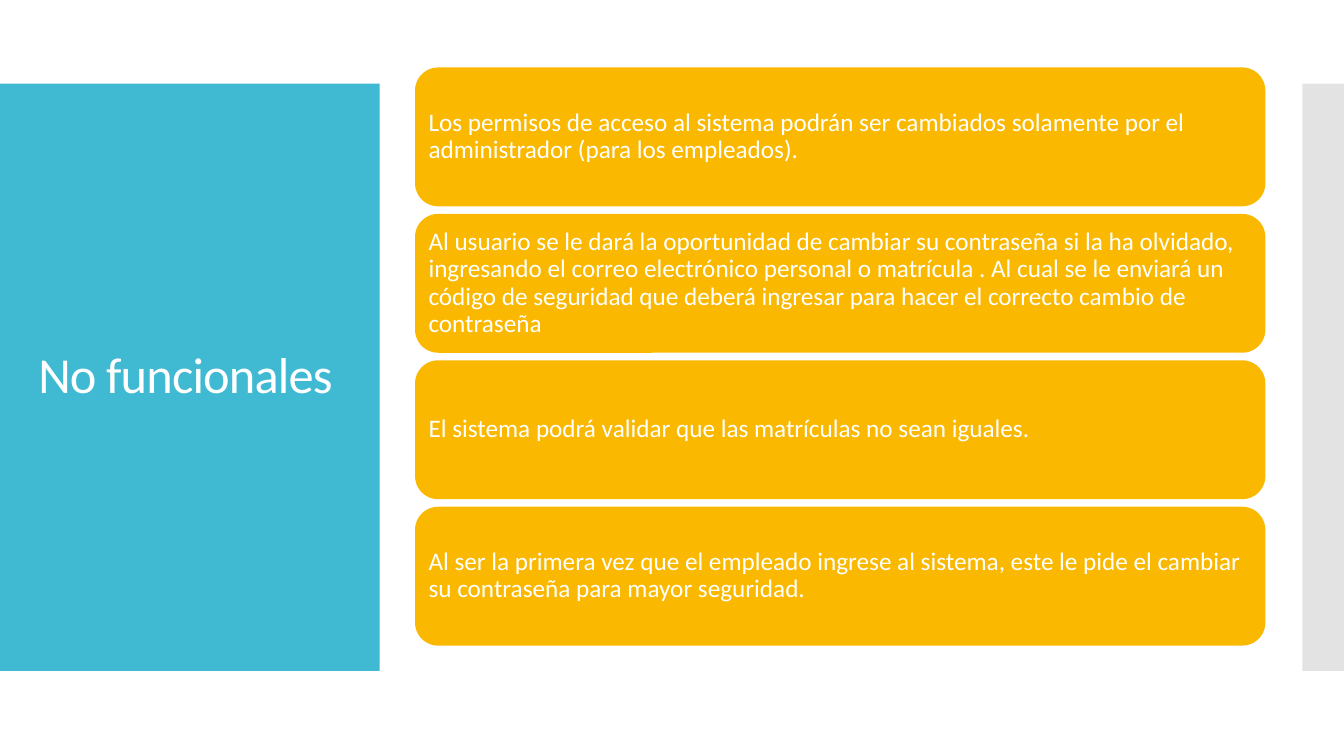
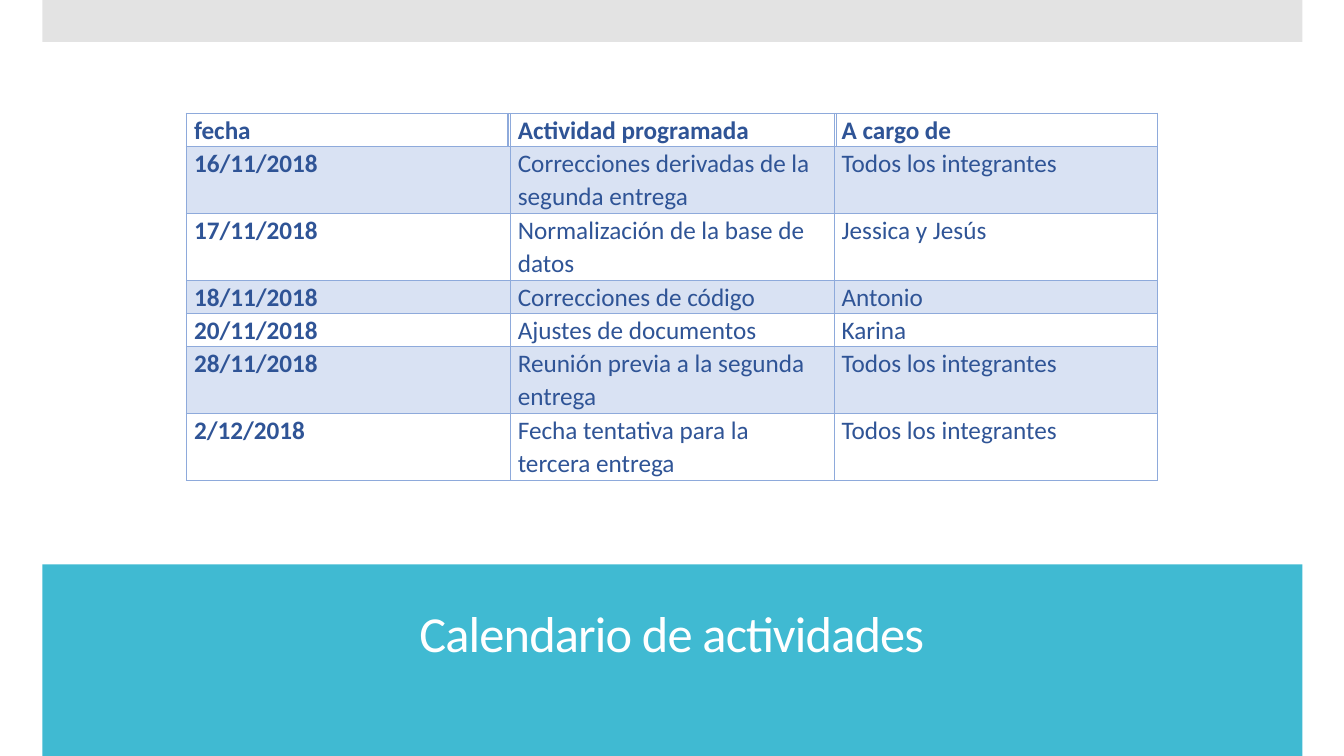
from dataclasses import dataclass

from lxml import etree
from pptx import Presentation
from pptx import util as u
from pptx.dml.color import RGBColor
from pptx.enum import shapes, text
from pptx.oxml import ns


@dataclass(frozen=True)
class Theme:
    font: str = "Calibri"
    teal: str = "40BAD2"
    gray: str = "C8C8C8"
    amber: str = "FAB900"
    white: str = "FFFFFF"
    navy: str = "2F5496"
    stripe: str = "D9E2F3"
    border: str = "8EAADB"
    title_size: int = 36
    body_size: int = 18


class SlideBuilder:
    def __init__(self, deck, theme):
        self.deck = deck
        self.theme = theme
        self.slide = None

    def new_slide(self):
        self.slide = self.deck.slides.add_slide(self.deck.slide_layouts[5])

    def style(self, para, size, color, spacing, bold=False):
        para.line_spacing = spacing
        font = para.font
        font.name = self.theme.font
        font.size = u.Pt(size)
        font.bold = bold
        font.color.rgb = RGBColor.from_string(color)

    def box(self, preset, area, color, alpha=None):
        box = self.slide.shapes.add_shape(preset, *map(u.Cm, area))
        box.shadow.inherit = False
        box.fill.solid()
        box.fill.fore_color.rgb = RGBColor.from_string(color)
        box.line.fill.background()
        if alpha is not None:
            tone = box.element.spPr.find(".//" + ns.qn("a:srgbClr"))
            etree.SubElement(tone, ns.qn("a:alpha"), val=str(alpha * 1000))
        return box

    def bands(self, title_area, edge_area):
        rectangle = shapes.MSO_SHAPE.RECTANGLE
        self.box(rectangle, title_area, self.theme.teal)
        self.box(rectangle, edge_area, self.theme.gray, alpha=50)

    def title(self, wording, area, align):
        title = self.slide.shapes.title
        self.slide.shapes.element.append(title.element)
        title.left, title.top, title.width, title.height = map(u.Cm, area)
        frame = title.text_frame
        frame.text = wording
        frame.word_wrap = True
        frame.auto_size = text.MSO_AUTO_SIZE.NONE
        frame.vertical_anchor = text.MSO_ANCHOR.MIDDLE
        para = frame.paragraphs[0]
        para.alignment = align
        self.style(para, self.theme.title_size, self.theme.white, 0.9)
        para.runs[0].font._element.set("spc", "-60")

    def card(self, wording, area):
        card = self.box(shapes.MSO_SHAPE.ROUNDED_RECTANGLE, area, self.theme.amber)
        frame = card.text_frame
        frame.text = wording
        frame.word_wrap = True
        frame.vertical_anchor = text.MSO_ANCHOR.MIDDLE
        frame.margin_left = frame.margin_right = u.Cm(0.17)
        para = frame.paragraphs[0]
        para.alignment = text.PP_ALIGN.LEFT
        self.style(para, self.theme.body_size, self.theme.white, 0.9)

    def cell_borders(self, cell, widths):
        properties = cell._tc.get_or_add_tcPr()
        for position, (side, width) in enumerate(zip("LRTB", widths)):
            line = etree.Element(ns.qn("a:ln" + side), w=str(u.Pt(width)))
            fill = etree.SubElement(line, ns.qn("a:solidFill"))
            etree.SubElement(fill, ns.qn("a:srgbClr"), val=self.theme.border)
            properties.insert(position, line)

    def table(self, rows, left, top, column_widths, row_heights):
        frame = self.slide.shapes.add_table(
            len(rows), len(column_widths), u.Cm(left), u.Cm(top),
            u.Cm(sum(column_widths)), u.Cm(sum(row_heights)))
        table = frame.table
        table.first_row = table.horz_banding = False
        for column, width in zip(table.columns, column_widths):
            column.width = u.Cm(width)
        for row_index, (row, height) in enumerate(zip(rows, row_heights)):
            table.rows[row_index].height = u.Cm(height)
            for column_index, wording in enumerate(row):
                cell = table.cell(row_index, column_index)
                cell.margin_left = cell.margin_right = u.Cm(0.19)
                cell.margin_top = cell.margin_bottom = 0
                cell.text = wording
                self.style(cell.text_frame.paragraphs[0], self.theme.body_size,
                           self.theme.navy, 1.07,
                           bold=row_index == 0 or column_index == 0)
                if row_index % 2:
                    cell.fill.solid()
                    cell.fill.fore_color.rgb = RGBColor.from_string(self.theme.stripe)
                else:
                    cell.fill.background()
                self.cell_borders(cell, (1, 1, 1.5 if row_index == 1 else 1,
                                         1.5 if row_index == 0 else 1))


REQUIREMENTS = (
    "Los permisos de acceso al sistema podrán ser cambiados solamente por el "
    "administrador (para los empleados).",
    "Al usuario se le dará la oportunidad de cambiar su contraseña si la ha olvidado, "
    "ingresando el correo electrónico personal o matrícula . Al cual se le enviará un "
    "código de seguridad que deberá ingresar para hacer el correcto cambio de contraseña",
    "El sistema podrá validar que las matrículas no sean iguales.",
    "Al ser la primera vez que el empleado ingrese al sistema, este le pide el cambiar "
    "su contraseña para mayor seguridad.",
)

SCHEDULE = (
    ("fecha", "Actividad programada", "A cargo de"),
    ("16/11/2018", "Correcciones derivadas de la segunda entrega", "Todos los integrantes"),
    ("17/11/2018", "Normalización de la base de datos", "Jessica y Jesús"),
    ("18/11/2018", "Correcciones de código", "Antonio"),
    ("20/11/2018", "Ajustes de documentos", "Karina"),
    ("28/11/2018", "Reunión previa a la segunda entrega", "Todos los integrantes"),
    ("2/12/2018", "Fecha tentativa para la tercera entrega", "Todos los integrantes"),
)


def requirements_slide(builder):
    builder.new_slide()
    builder.bands((0, 2.11, 9.57, 14.8), (32.82, 2.11, 1.05, 14.8))
    builder.title("No funcionales", (0.71, 3.12, 8.18, 12.78), text.PP_ALIGN.LEFT)
    for index, wording in enumerate(REQUIREMENTS):
        builder.card(wording, (10.46, 1.7 + index * 3.69, 21.43, 3.5))


def schedule_slide(builder):
    builder.new_slide()
    builder.bands((1.07, 14.22, 31.75, 4.83), (1.07, 0, 31.75, 1.06))
    builder.title("Calendario de actividades", (1.78, 14.6, 30.3, 2.84),
                  text.PP_ALIGN.CENTER)
    left, top, single, double = 4.7, 2.86, 0.83, 1.69
    builder.table([("", "", "")], left, top, (8.1, 8.28, 8.1), (single,))
    builder.table(SCHEDULE, left, top, (8.16,) * 3,
                  (single, double, double, single, single, double, double))


def main():
    deck = Presentation()
    deck.slide_width, deck.slide_height = u.Cm(33.87), u.Cm(19.05)
    builder = SlideBuilder(deck, Theme())
    requirements_slide(builder)
    schedule_slide(builder)
    deck.save("out.pptx")


if __name__ == "__main__":
    main()
